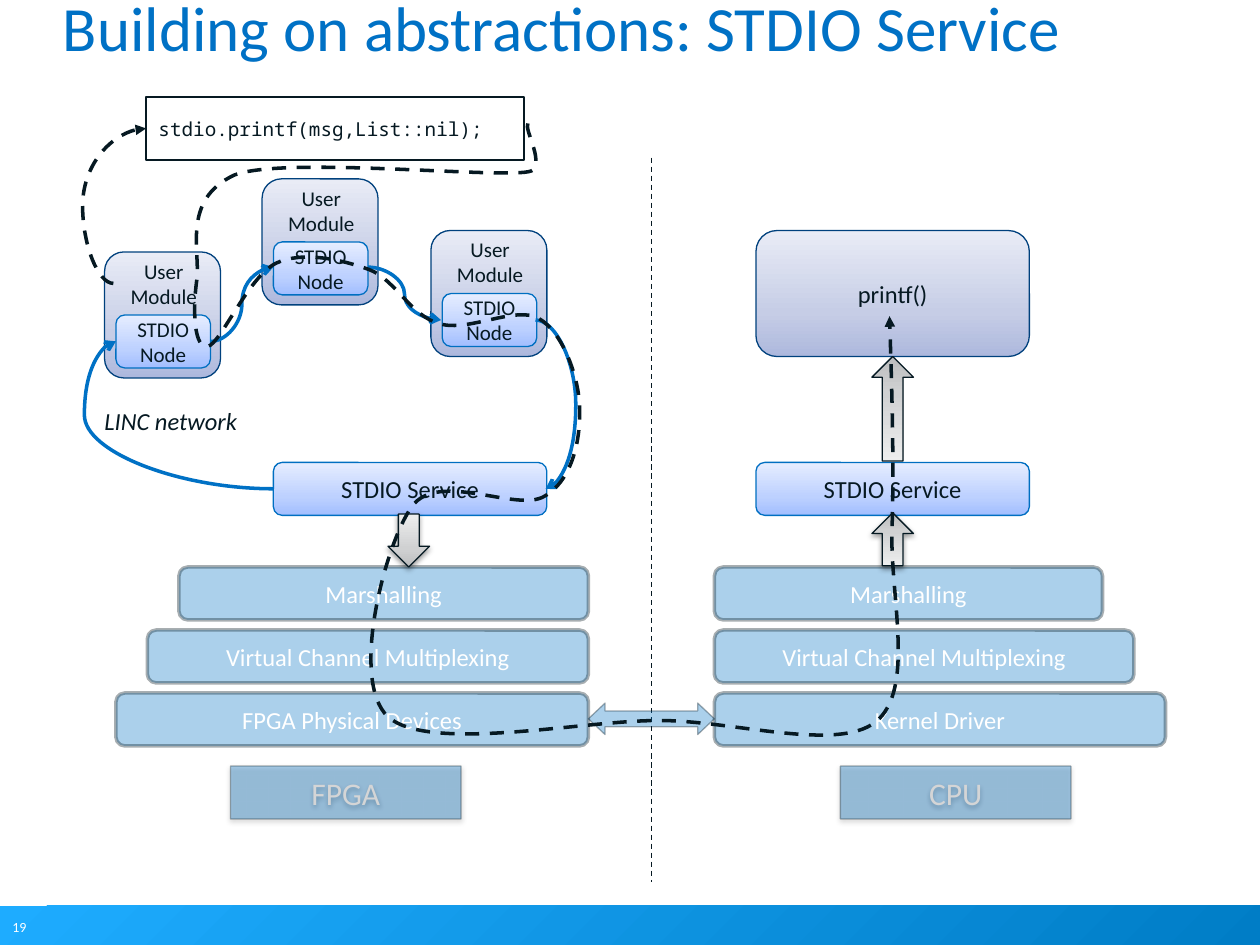
from dataclasses import dataclass
from typing import Optional, Sequence

from lxml import etree
from pptx import Presentation
from pptx.dml.color import RGBColor
from pptx.enum import dml, shapes, text
from pptx.oxml import ns
from pptx.util import Inches, Pt

BLUE = RGBColor(0x00, 0x71, 0xC5)
INK = RGBColor(0x06, 0x19, 0x22)
WHITE = RGBColor(0xFF, 0xFF, 0xFF)
PALE = RGBColor(0xD4, 0xD5, 0xD6)
MODULE_EDGE = RGBColor(0x00, 0x41, 0x7D)
SERVICE_EDGE = RGBColor(0x00, 0x6F, 0xC1)
ARROW_EDGE = RGBColor(0x05, 0x19, 0x22)
LEFT, CENTER = text.PP_ALIGN.LEFT, text.PP_ALIGN.CENTER
TOP, MIDDLE = text.MSO_ANCHOR.TOP, text.MSO_ANCHOR.MIDDLE
PRESET = shapes.MSO_SHAPE
ROUND = PRESET.ROUNDED_RECTANGLE


@dataclass(frozen=True)
class Style:
    edge: Optional[RGBColor] = None
    edge_width: float = 0.75
    solid: Optional[RGBColor] = None
    fill_alpha: int = 100
    edge_alpha: int = 100
    gradient: Sequence[tuple[int, str]] = ()
    angle: int = 270
    shadow: bool = False


@dataclass(frozen=True)
class Label:
    lines: Sequence[str]
    size: float
    color: RGBColor = INK
    font: str = "Calibri"
    italic: bool = False
    align: text.PP_ALIGN = CENTER
    anchor: text.MSO_ANCHOR = MIDDLE
    wrap: bool = False


GRAY = ((0, "BCBDBE"), (35, "D0D1D2"), (100, "EDEEEE"))
FOOTER = Style(gradient=((0, "1EACFF"), (100, "007DC6")), angle=45)
LAYER = Style(INK, 2, BLUE, 33, 34)
LINK = Style(INK, 0.75, BLUE, 33, 34)
CHIP = Style(INK, 0.75, BLUE, 33, 34, shadow=True)
MODULE = Style(MODULE_EDGE, gradient=((0, "ADB8DD"), (35, "C6CDE6"), (100, "E9ECF6")))
SERVICE = Style(SERVICE_EDGE, gradient=((0, "A2BEFF"), (35, "BDD1FF"), (100, "E6EDFF")))
FLAT_ARROW = Style(ARROW_EDGE, gradient=GRAY)
RAISED_ARROW = Style(ARROW_EDGE, gradient=GRAY, shadow=True)
OUTLINE = Style(INK)

# Left, top, width, height and label of each protocol layer
LAYERS = [
    (5.67, 4.5, 3.08, "Marshalling"),
    (5.67, 5, 3.33, "Virtual Channel Multiplexing"),
    (5.67, 5.5, 3.58, "Kernel Driver"),
    (1.42, 4.5, 3.25, "Marshalling"),
    (1.17, 5, 3.5, "Virtual Channel Multiplexing"),
    (0.92, 5.5, 3.75, "FPGA Physical Devices"),
]
MODULES = [(0.83, 2), (2.08, 1.42), (3.42, 1.83)]
# Start, end and bend of each network hop
HOPS = [
    ((1.67, 2.71), (2.17, 2.12), 0.5),
    ((2.92, 2.12), (3.5, 2.54), 0.5),
    ((4.25, 2.54), (4.33, 3.88), 4),
    ((2.17, 3.88), (0.92, 2.71), 1.2),
]
MESSAGE_START = (4.19, 0.98)
# Two control points and the end point of each curve
MESSAGE_CURVES = [
    ((4.16, 1.03), (4.31, 1.26), (4.23, 1.35)),
    ((4.15, 1.44), (2.27, 1.23), (1.86, 1.39)),
    ((1.43, 1.59), (1.6, 2.01), (1.56, 2.24)),
    ((1.53, 2.47), (1.54, 2.77), (1.65, 2.75)),
    ((1.75, 2.73), (1.97, 2.2), (2.19, 2.09)),
    ((2.4, 1.99), (2.71, 2.06), (2.93, 2.14)),
    ((3.14, 2.22), (3.26, 2.51), (3.49, 2.57)),
    ((3.72, 2.64), (4.1, 2.42), (4.28, 2.53)),
    ((4.47, 2.64), (4.6, 3.01), (4.6, 3.24)),
    ((4.61, 3.47), (4.55, 3.81), (4.32, 3.94)),
    ((4.1, 4.07), (3.48, 3.73), (3.27, 4.02)),
    ((3.06, 4.31), (2.77, 5.4), (3.08, 5.69)),
    ((3.4, 5.97), (4.57, 5.73), (5.17, 5.72)),
    ((5.76, 5.7), (6.63, 5.98), (6.95, 5.73)),
    ((7.27, 5.47), (7.06, 4.72), (7.08, 4.19)),
    ((7.1, 3.65), (7.06, 2.51), (7.06, 2.51)),
]


def add_child(parent, tag: str, **attributes):
    child = etree.SubElement(parent, ns.qn(tag))
    for name, value in attributes.items():
        child.set(name, str(value))
    return child


def set_alpha(fill_parent, percent: int) -> None:
    if percent < 100:
        color = next(fill_parent.iter(ns.qn("a:srgbClr")))
        add_child(color, "a:alpha", val=percent * 1000)


def set_gradient(shape, stops: Sequence[tuple[int, str]], angle: int) -> None:
    shape.fill.gradient()
    gradient = shape._element.spPr.find(ns.qn("a:gradFill"))
    for child in list(gradient):
        gradient.remove(child)
    stop_list = add_child(gradient, "a:gsLst")
    for position, color in stops:
        stop = add_child(stop_list, "a:gs", pos=position * 1000)
        add_child(stop, "a:srgbClr", val=color)
    add_child(gradient, "a:lin", ang=angle * 60000, scaled=0)


def apply_style(shape, style: Style) -> None:
    properties = shape._element.spPr
    shape.shadow.inherit = False
    if style.gradient:
        set_gradient(shape, style.gradient, style.angle)
    elif style.solid is not None:
        shape.fill.solid()
        shape.fill.fore_color.rgb = style.solid
        set_alpha(properties.find(ns.qn("a:solidFill")), style.fill_alpha)
    else:
        shape.fill.background()
    if style.edge is None:
        shape.line.fill.background()
    else:
        shape.line.color.rgb = style.edge
        shape.line.width = Pt(style.edge_width)
        set_alpha(properties.find(ns.qn("a:ln")), style.edge_alpha)
    if style.shadow:
        shadow = add_child(properties.find(ns.qn("a:effectLst")), "a:outerShdw", blurRad=Pt(3.1),
                           dist=Pt(1.6), dir=90 * 60000, rotWithShape=0)
        set_alpha(add_child(shadow, "a:srgbClr", val="000000").getparent(), 38)


def write_label(shape, label: Label):
    frame = shape.text_frame
    frame.word_wrap = label.wrap
    frame.vertical_anchor = label.anchor
    for index, line in enumerate(label.lines):
        paragraph = frame.add_paragraph() if index else frame.paragraphs[0]
        paragraph.alignment = label.align
        run = paragraph.add_run()
        run.text = line
        run.font.name, run.font.size = label.font, Pt(label.size)
        run.font.italic = label.italic
        run.font.color.rgb = label.color
    return frame


def add_box(slide, preset, left: float, top: float, width: float, height: float,
            style: Style, label: Optional[Label] = None):
    shape = slide.shapes.add_shape(preset, Inches(left), Inches(top), Inches(width), Inches(height))
    apply_style(shape, style)
    if label:
        write_label(shape, label)
    return shape


def add_text(slide, left: float, top: float, width: float, height: float, label: Label):
    box = slide.shapes.add_textbox(Inches(left), Inches(top), Inches(width), Inches(height))
    return write_label(box, label)


def style_line(shape, color: RGBColor, width: float, dashed: bool, head: str = "") -> None:
    shape.line.color.rgb = color
    shape.line.width = Pt(width)
    if dashed:
        shape.line.dash_style = dml.MSO_LINE.DASH
    if head:
        add_child(shape._element.spPr.find(ns.qn("a:ln")), "a:tailEnd", type=head)


def add_line(slide, kind, start, end, color: RGBColor, width: float, dashed: bool = False,
             head: str = "", bend: Optional[float] = None) -> None:
    line = slide.shapes.add_connector(kind, *map(Inches, (*start, *end)))
    style_line(line, color, width, dashed, head)
    add_child(line._element.spPr, "a:effectLst")
    if bend is not None:
        guides = line._element.spPr.find(ns.qn("a:prstGeom")).get_or_add_avLst()
        add_child(guides, "a:gd", name="adj1", fmla=f"val {round(bend * 100000)}")


def add_message_route(slide) -> None:
    """Draw the smooth route by turning each three vertices into one cubic curve."""
    builder = slide.shapes.build_freeform(*map(Inches, MESSAGE_START), scale=1.0)
    vertices = [(Inches(x), Inches(y)) for curve in MESSAGE_CURVES for x, y in curve]
    builder.add_line_segments(vertices, close=False)
    route = builder.convert_to_shape()
    apply_style(route, OUTLINE)
    style_line(route, INK, 2, True, "triangle")
    outline = next(route._element.iter(ns.qn("a:path")))
    segments = outline.findall(ns.qn("a:lnTo"))
    for first in range(0, len(segments), 3):
        curve = add_child(outline, "a:cubicBezTo")
        for segment in segments[first:first + 3]:
            curve.append(segment[0])
            outline.remove(segment)


def add_module(slide, left: float, top: float) -> None:
    add_box(slide, ROUND, left, top, 0.92, 1, MODULE)
    add_box(slide, ROUND, left + 0.09, top + 0.5, 0.75, 0.42, SERVICE, Label(("STDIO", "Node"), 12))
    add_text(slide, left + 0.07, top, 0.8, 0.51, Label(("User", "Module"), 12, anchor=TOP))


def main() -> None:
    presentation = Presentation()
    presentation.slide_width, presentation.slide_height = Inches(10), Inches(7.5)
    slide = presentation.slides.add_slide(presentation.slide_layouts[6])
    curve, straight = shapes.MSO_CONNECTOR.CURVE, shapes.MSO_CONNECTOR.STRAIGHT

    add_box(slide, PRESET.RECTANGLE, 0, 7.19, 10.01, 0.32, FOOTER)
    add_text(slide, 0, 7.24, 0.31, 0.24, Label(("19",), 8, WHITE, align=LEFT, anchor=TOP))
    title = add_text(slide, 0.5, 0.15, 9, 1.25, Label(
        ("Building on abstractions: STDIO Service",), 36, BLUE, align=LEFT, anchor=TOP, wrap=True))
    title.margin_left = title.margin_right = title.margin_top = title.margin_bottom = 0
    title.paragraphs[0].line_spacing = Pt(26)

    add_line(slide, straight, (5.17, 1.25), (5.17, 7), INK, 0.75, dashed=True)
    for left, top, width, name in LAYERS:
        add_box(slide, ROUND, left, top, width, 0.42, LAYER, Label((name,), 14, WHITE))
    link = add_box(slide, PRESET.LEFT_RIGHT_ARROW, 4.67, 5.58, 1, 0.25, LINK)
    link.adjustments[1] = 0.53
    for left, name in ((1.83, "FPGA"), (6.67, "CPU")):
        add_box(slide, PRESET.RECTANGLE, left, 6.08, 1.83, 0.42, CHIP, Label((name,), 18, PALE))
    for left in (2.17, 6):
        add_box(slide, ROUND, left, 3.67, 2.17, 0.42, SERVICE, Label(("STDIO Service",), 14))
    for left, top in MODULES:
        add_module(slide, left, top)
    for start, end, bend in HOPS:
        add_line(slide, curve, start, end, BLUE, 2, head="arrow", bend=bend)

    add_box(slide, ROUND, 6, 1.83, 2.17, 1, MODULE, Label(("printf()",), 14))
    for top, height, style in ((2.83, 0.83, FLAT_ARROW), (4.07, 0.42, RAISED_ARROW)):
        arrow = add_box(slide, PRESET.DOWN_ARROW, 6.92, top, 0.33, height, style)
        arrow._element.spPr.find(ns.qn("a:xfrm")).set("flipV", "1")
    add_box(slide, PRESET.DOWN_ARROW, 3.08, 4.08, 0.33, 0.42, RAISED_ARROW)
    add_text(slide, 0.73, 3.17, 1.26, 0.34,
             Label(("LINC network",), 14, italic=True, align=LEFT, anchor=TOP))
    add_box(slide, PRESET.RECTANGLE, 1.16, 0.77, 3, 0.5, OUTLINE, Label(
        ("stdio.printf(msg,List::nil);",), 11, font="Noto Sans Mono", align=LEFT, wrap=True))
    add_line(slide, curve, (0.9, 2.25), (1.16, 1.02), INK, 2, True, "triangle", -0.94)
    add_message_route(slide)
    presentation.save("out.pptx")


if __name__ == "__main__":
    main()
